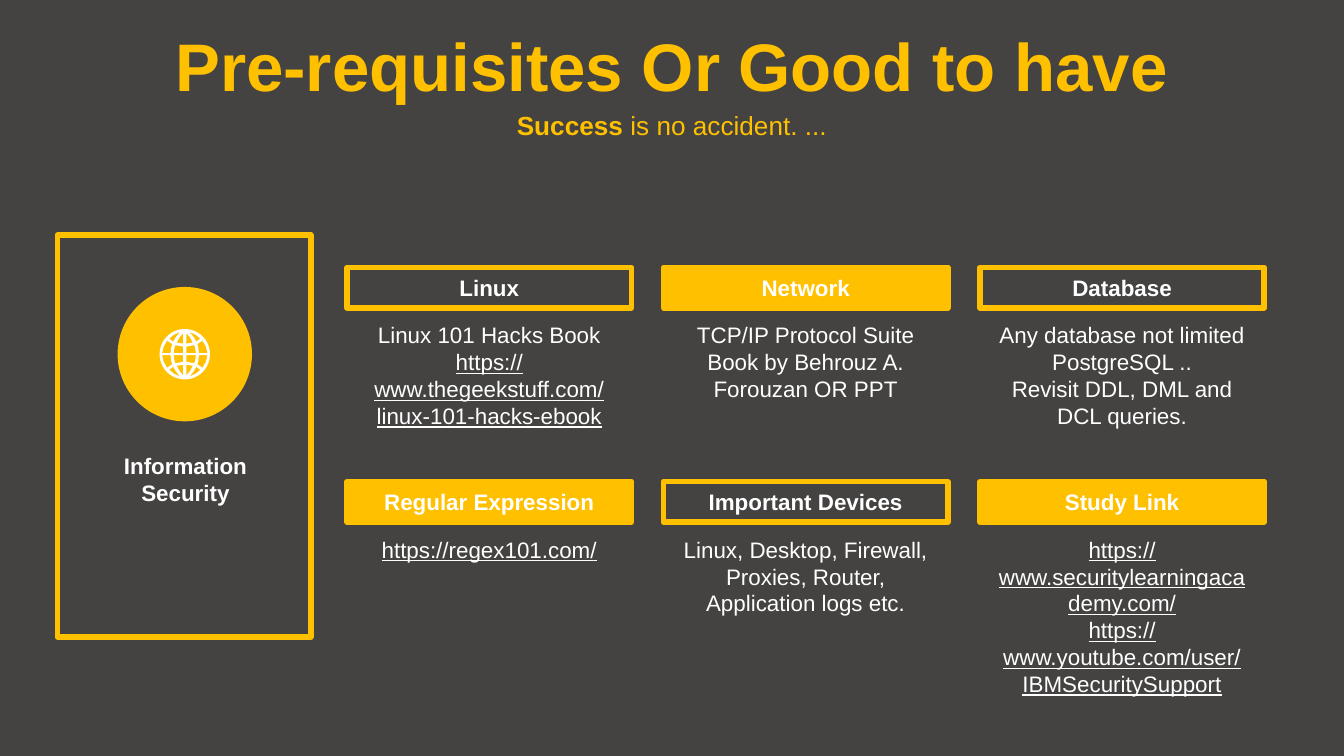
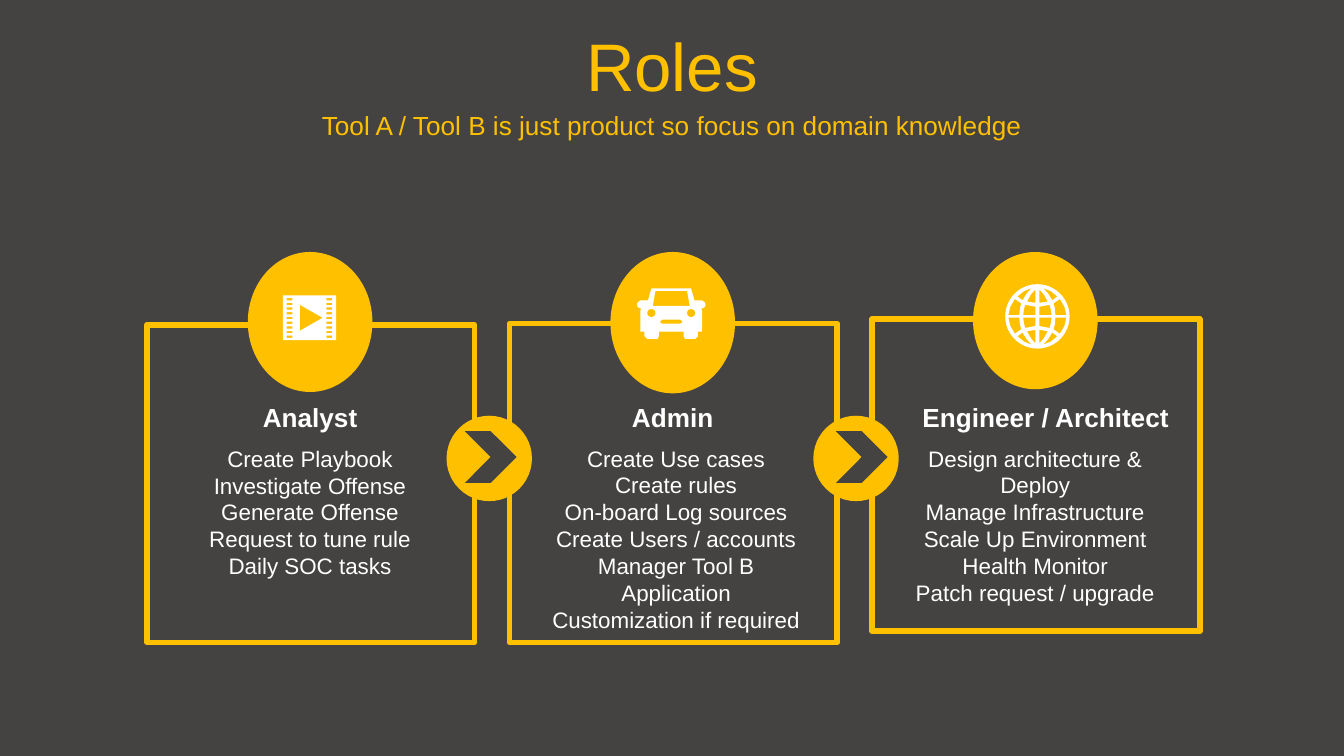
from math import cos, pi, sin

from pptx import Presentation
from pptx.dml.color import RGBColor
from pptx.enum.shapes import MSO_SHAPE
from pptx.enum.text import MSO_ANCHOR, PP_ALIGN
from pptx.util import Pt

PX = 9525  # EMU per px, 96 px to the inch
FONT = "Arial"
DARK, GOLD, WHITE = "444342", "FFC000", "FFFFFF"


def draw(page, kind, left, top, width, height, fill=None, line=None):
    """Add a preset shape, or a text box when kind is None."""
    frame = [value * PX for value in (left, top, width, height)]
    if kind is None:
        return page.shapes.add_textbox(*frame)
    shape = page.shapes.add_shape(kind, *frame)
    shape.shadow.inherit = False
    for paint, color in ((shape.fill, fill), (shape.line.fill, line)):
        if color:
            paint.solid()
            paint.fore_color.rgb = RGBColor.from_string(color)
        else:
            paint.background()
    if line:
        shape.line.width = Pt(3)
    return shape


def write(box, text, size=12, color=WHITE, bold=False, lead="", anchor=MSO_ANCHOR.TOP):
    """Fill a shape with centred lines; lead is a bold opening, web addresses are underlined."""
    frame = box.text_frame
    frame.word_wrap = True
    frame.vertical_anchor = anchor
    for index, line in enumerate(text.split("\n")):
        para = frame.paragraphs[0] if index == 0 else frame.add_paragraph()
        para.alignment = PP_ALIGN.CENTER
        for part, strong in ((lead, True), (line, bold)):
            if part:
                span = para.add_run()
                span.text = part
                span.font.name = FONT
                span.font.size = Pt(size)
                span.font.bold = strong
                span.font.underline = part.startswith("https://")
                span.font.color.rgb = RGBColor.from_string(color)


deck = Presentation()
deck.slide_width, deck.slide_height = 960 * PX, 540 * PX
background = deck.slide_master.background.fill
background.solid()
background.fore_color.rgb = RGBColor.from_string(DARK)

# Titles and subtitles
headings = [
    ("Pre-requisites Or Good to have", True, "Success", " is no accident. ..."),
    ("Roles", False, "", "Tool A / Tool B is just product so focus on domain knowledge"),
]
pages = []
for title_text, title_bold, lead, subtitle in headings:
    page = deck.slides.add_slide(deck.slide_layouts[5])
    title = page.shapes.title
    title.left, title.top, title.width, title.height = 0, 16 * PX, 960 * PX, 60 * PX
    write(title, title_text, size=36, color=GOLD, bold=title_bold, anchor=MSO_ANCHOR.MIDDLE)
    write(draw(page, None, 0, 74, 960, 30), subtitle, size=14, color=GOLD, lead=lead,
          anchor=MSO_ANCHOR.MIDDLE)
    pages.append(page)
topics_page, roles_page = pages

# Slide 1: three by two topics, every second heading filled
topics = [
    ("Linux", 107, "Linux 101 Hacks Book\nhttps://www.thegeekstuff.com/linux-101-hacks-ebook"),
    ("Network", 68, "TCP/IP Protocol Suite\nBook by Behrouz A. Forouzan OR PPT"),
    ("Database", 87,
     "Any database not limited PostgreSQL ..\nRevisit DDL, DML and DCL queries."),
    ("Regular Expression", 48, "https://regex101.com/"),
    ("Important Devices", 68,
     "Linux, Desktop, Firewall,\nProxies, Router, Application logs etc."),
    ("Study Link", 107, "https://www.securitylearningacademy.com/\n"
     "https://www.youtube.com/user/IBMSecuritySupport"),
]
for index, (name, body_height, body) in enumerate(topics):
    row, column = divmod(index, 3)
    left, top = 248 + 226 * column, 191 + 153 * row
    write(draw(topics_page, None, left, top + 34, 203, body_height), body)
    header = draw(topics_page, MSO_SHAPE.RECTANGLE, left, top, 203, 29,
                  fill=GOLD if index % 2 else None, line=GOLD)
    write(header, name, bold=True, anchor=MSO_ANCHOR.MIDDLE)

draw(topics_page, MSO_SHAPE.RECTANGLE, 41, 168, 181, 287, line=GOLD)
write(draw(topics_page, None, 57, 318, 151, 48), "Information Security", bold=True)
draw(topics_page, MSO_SHAPE.OVAL, 84, 205, 96, 96, fill=GOLD)

# Slide 2: role panels: name, panel top and height, badge height,
# name width, duties width and height, duties
roles = [
    ("Analyst", 232, 227, 100, 191, 191, 107,
     "Create Playbook\nInvestigate Offense\nGenerate Offense\n"
     "Request to tune rule\nDaily SOC tasks"),
    ("Admin", 231, 228, 101, 191, 196, 145,
     "Create Use cases\nCreate rules\nOn-board Log sources\nCreate Users / accounts\n"
     "Manager Tool B Application\nCustomization if required"),
    ("Engineer / Architect", 228, 223, 98, 206, 191, 126,
     "Design architecture & Deploy\nManage Infrastructure\nScale Up Environment\n"
     "Health Monitor\nPatch request / upgrade"),
]
for index, role in enumerate(roles):
    name, top, height, badge_height, name_width, duties_width, duties_height, duties = role
    left = 105 + 259 * index
    draw(roles_page, MSO_SHAPE.RECTANGLE, left, top, 234, height, line=GOLD)
    draw(roles_page, MSO_SHAPE.OVAL, left + 72, 180, 89, badge_height, fill=GOLD)
    write(draw(roles_page, None, left + 21, 313, duties_width, duties_height), duties)
    write(draw(roles_page, None, left + 21, 282, name_width, 33), name, size=14, bold=True)

for circle_left, chevron_left in ((319, 332), (581, 597)):
    draw(roles_page, MSO_SHAPE.OVAL, circle_left, 297, 61, 61, fill=GOLD)
    draw(roles_page, MSO_SHAPE.CHEVRON, chevron_left, 308, 37, 37, fill=DARK)

# Icons: outlines on a 100 by 100 grid, inner outlines are holes
turns = [2 * pi * step / 48 for step in range(48)]
globe_cells = [  # one quarter, measured from the centre
    [(3, 2), (3, 15), (19, 18), (21, 10), (22, 2)],
    [(28, 2), (27, 13), (25, 20), (35, 27), (42, 15), (45, 2)],
    [(3, 21), (3, 42), (10, 34), (16, 23)],
    [(9, 44), (21, 39), (31, 31), (23, 25), (17, 35)],
]
globe = [[(50 + 50 * cos(turn), 50 + 50 * sin(turn)) for turn in turns]]
for cell in globe_cells:
    for side_x in (-1, 1):
        for side_y in (-1, 1):
            globe.append([(50 + side_x * x, 50 + side_y * y) for x, y in cell])

film = [[(0, 0), (100, 0), (100, 100), (0, 100)], [(32, 21), (32, 79), (75, 50)]]
for row in range(9):
    top = 6 + 10.5 * row
    for left in (7, 82):
        film.append([(left, top), (left, top + 5), (left + 11, top + 5), (left + 11, top)])

car_side = [(79, 0), (84, 24), (95, 24), (99, 28), (100, 32), (99, 37), (95, 40), (93, 40),
            (95, 44), (95, 86), (89, 86), (89, 95), (85, 100), (70, 100), (68, 95), (68, 86)]
car = [
    car_side + [(100 - x, y) for x, y in reversed(car_side)],
    [(27, 5), (23, 35), (77, 35), (73, 5)],
    [(37, 62), (63, 62), (66, 65), (66, 68), (63, 70), (37, 70), (34, 68), (34, 65)],
]
for lamp in (21, 79):
    car.append([(lamp + 6 * cos(turn), 49 + 8 * sin(turn)) for turn in turns])

icons = [
    (topics_page, globe, 114, 235, 36, 36),
    (roles_page, globe, 718, 203, 46, 46),
    (roles_page, film, 202, 211, 38, 32),
    (roles_page, car, 455, 206, 49, 36),
]
for page, outlines, left, top, width, height in icons:
    builder = None
    for outline in outlines:
        points = [(round((left + x * width / 100) * PX), round((top + y * height / 100) * PX))
                  for x, y in outline]
        if builder is None:
            builder = page.shapes.build_freeform(*points[0])
        else:
            builder.move_to(*points[0])
        builder.add_line_segments(points[1:], close=True)
    icon = builder.convert_to_shape()
    icon.shadow.inherit = False
    icon.fill.solid()
    icon.fill.fore_color.rgb = RGBColor.from_string(WHITE)
    icon.line.fill.background()

deck.save("out.pptx")
